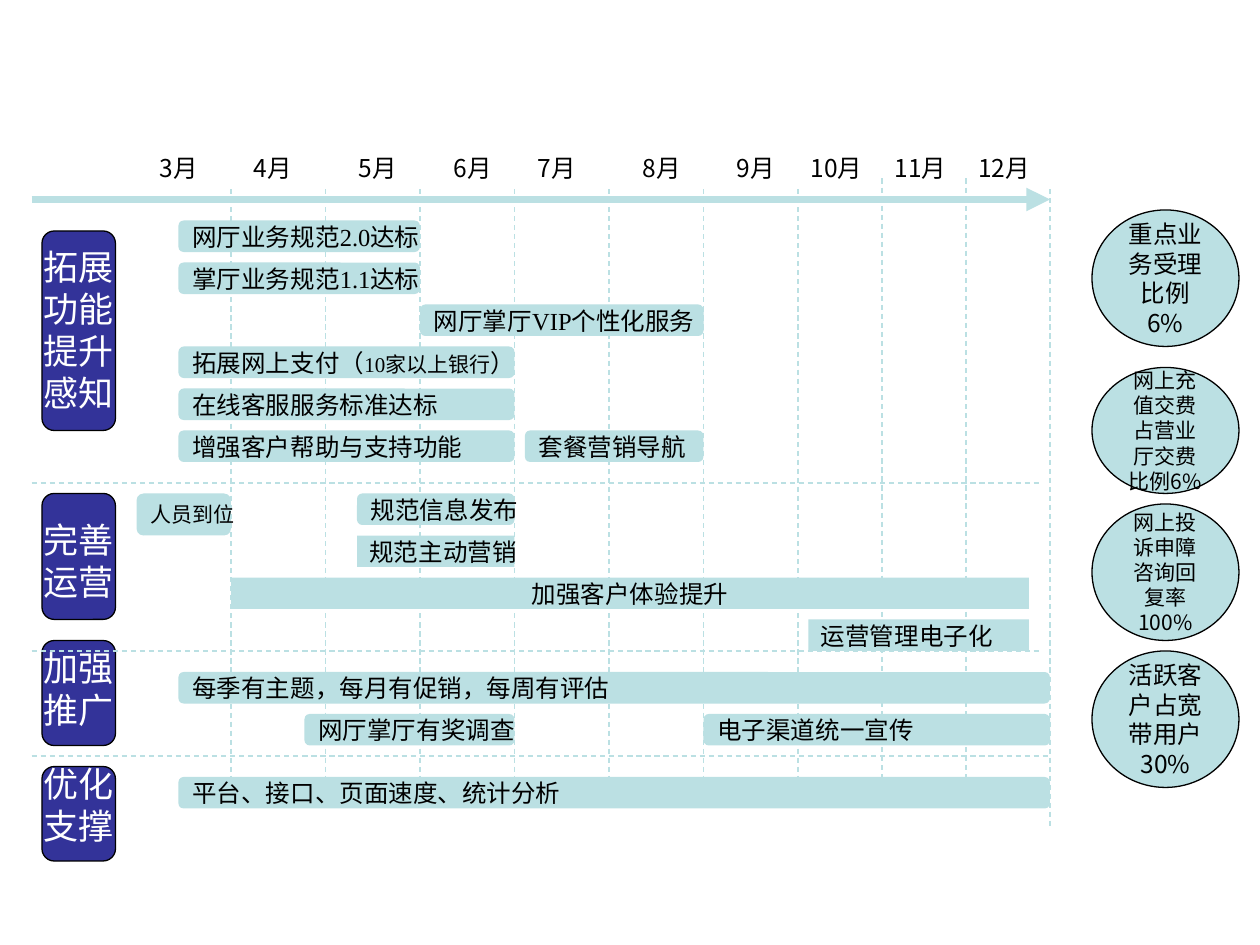
from lxml import etree
from pptx import Presentation
from pptx.dml.color import RGBColor
from pptx.enum.dml import MSO_LINE
from pptx.enum.shapes import MSO_CONNECTOR, MSO_SHAPE
from pptx.enum.text import MSO_ANCHOR, PP_ALIGN
from pptx.oxml.ns import qn
from pptx.util import Pt

PX = 7620
NAVY = RGBColor(0x33, 0x33, 0x99)
AQUA = RGBColor(0xBB, 0xE0, 0xE3)
BLACK = RGBColor(0, 0, 0)
WHITE = RGBColor(0xFF, 0xFF, 0xFF)
SANS = "Noto Sans CJK SC"
SERIF = "Times New Roman"
ROUNDED = MSO_SHAPE.ROUNDED_RECTANGLE
RECTANGLE = MSO_SHAPE.RECTANGLE
OVAL = MSO_SHAPE.OVAL
STRAIGHT = MSO_CONNECTOR.STRAIGHT
DASH = MSO_LINE.DASH
LEFT = PP_ALIGN.LEFT
CENTER = PP_ALIGN.CENTER
TOP = MSO_ANCHOR.TOP
MIDDLE = MSO_ANCHOR.MIDDLE


def write_text(shape, paragraphs, font_name, color, align=LEFT, anchor=TOP, wrap=True):
    frame = shape.text_frame
    frame_format = {"word_wrap": wrap, "vertical_anchor": anchor}
    for name, value in frame_format.items():
        setattr(frame, name, value)
    for index, runs in enumerate(paragraphs):
        paragraph = frame.add_paragraph() if index else frame.paragraphs[0]
        paragraph.alignment = align
        for text, size in runs:
            run = paragraph.add_run()
            run.text = text
            run.font.color.rgb = color
            for name, value in {"size": Pt(size), "name": font_name}.items():
                setattr(run.font, name, value)
            latin = run.font._element.find(qn("a:latin"))
            east_asian = etree.Element(qn("a:ea"), typeface=SANS)
            latin.addnext(east_asian)


def draw_line(x1, y1, x2, y2, width=0.75, dash=DASH, arrow=False):
    connector = slide.shapes.add_connector(STRAIGHT, x1 * PX, y1 * PX, x2 * PX, y2 * PX)
    connector.line.color.rgb = AQUA
    for name, value in {"width": Pt(width), "dash_style": dash}.items():
        setattr(connector.line, name, value)
    properties = connector._element.spPr
    if arrow:
        etree.SubElement(properties.find(qn("a:ln")), qn("a:tailEnd"), type="triangle")
    etree.SubElement(properties, qn("a:effectLst"))


presentation = Presentation()
presentation.slide_width = 1200 * PX
presentation.slide_height = 900 * PX
slide = presentation.slides.add_slide(presentation.slide_layouts[6])

workstreams = [
    ("拓展功能提升感知", 220, 190, 228, 173),
    ("完善运营", 470, 120, 488, 92),
    ("加强推广", 610, 100, 610, 92),
    ("优化支撑", 730, 90, 720, 92),
]
for label, top, height, label_top, label_height in workstreams:
    panel = slide.shapes.add_shape(ROUNDED, 40 * PX, top * PX, 70 * PX, height * PX)
    panel.shadow.inherit = False
    panel.fill.solid()
    panel.fill.fore_color.rgb = NAVY
    panel.line.color.rgb = BLACK
    panel.line.width = Pt(0.75)

draw_line(30, 190, 1000, 190, width=4.5, dash=None, arrow=True)
for x in range(220, 761, 90):
    draw_line(x, 180, x, 760)
for x in (840, 920):
    draw_line(x, 170, x, 750)
draw_line(1000, 180, 1000, 790)

month_lefts = [140, 230, 330, 420, 500, 600, 690, 760, 840, 920]
for month, left in enumerate(month_lefts, start=3):
    box = slide.shapes.add_textbox(left * PX, 140 * PX, 90 * PX, 41 * PX)
    write_text(box, [[(f"{month}月", 14)]], SANS, BLACK)

tasks = [
    (ROUNDED, 170, 210, 230, 30, LEFT, [("网厅业务规范2.0达标", 14)]),
    (ROUNDED, 170, 250, 230, 30, LEFT, [("掌厅业务规范1.1达标", 14)]),
    (ROUNDED, 400, 290, 270, 30, LEFT, [("网厅掌厅VIP个性化服务", 14)]),
    (ROUNDED, 170, 330, 320, 30, LEFT,
     [("拓展网上支付（", 14), ("10家以上银行", 12), ("）", 14)]),
    (ROUNDED, 170, 370, 320, 30, LEFT, [("在线客服服务标准达标", 14)]),
    (ROUNDED, 170, 410, 320, 30, LEFT, [("增强客户帮助与支持功能", 14)]),
    (ROUNDED, 500, 410, 170, 30, LEFT, [("套餐营销导航", 14)]),
    (ROUNDED, 130, 470, 90, 40, LEFT, [("人员到位", 12)]),
    (ROUNDED, 340, 470, 150, 30, LEFT, [("规范信息发布", 14)]),
    (RECTANGLE, 340, 510, 150, 30, LEFT, [("规范主动营销", 14)]),
    (RECTANGLE, 220, 550, 760, 30, CENTER, [("加强客户体验提升", 14)]),
    (RECTANGLE, 770, 590, 210, 30, LEFT, [("运营管理电子化", 14)]),
    (ROUNDED, 170, 640, 830, 30, LEFT, [("每季有主题，每月有促销，每周有评估", 14)]),
    (ROUNDED, 290, 680, 200, 30, LEFT, [("网厅掌厅有奖调查", 14)]),
    (ROUNDED, 670, 680, 330, 30, LEFT, [("电子渠道统一宣传", 14)]),
    (ROUNDED, 170, 740, 830, 30, LEFT, [("平台、接口、页面速度、统计分析", 14)]),
]
for kind, left, top, width, height, align, runs in tasks:
    bar = slide.shapes.add_shape(kind, left * PX, top * PX, width * PX, height * PX)
    bar.shadow.inherit = False
    bar.fill.solid()
    bar.fill.fore_color.rgb = AQUA
    bar.line.fill.background()
    write_text(bar, [runs], SERIF, BLACK, align, MIDDLE, wrap=False)

for y, right in ((460, 990), (620, 990), (720, 1000)):
    draw_line(30, y, right, y)

for label, top, height, label_top, label_height in workstreams:
    box = slide.shapes.add_textbox(30 * PX, label_top * PX, 120 * PX, label_height * PX)
    write_text(box, [[(label, 20)]], SERIF, WHITE)

targets = [
    (200, 130, [[("重点业务受理比例6%", 14)]]),
    (350, 120, [[("网上充值交费占营业厅交费比例6%", 12)]]),
    (480, 130, [[("网上投诉申障咨询回复率", 12)], [("100%", 12)]]),
    (620, 130, [[("活跃客户占宽带用户30%", 14)]]),
]
for top, height, paragraphs in targets:
    target = slide.shapes.add_shape(OVAL, 1040 * PX, top * PX, 140 * PX, height * PX)
    target.shadow.inherit = False
    target.fill.solid()
    target.fill.fore_color.rgb = AQUA
    target.line.color.rgb = BLACK
    target.line.width = Pt(0.75)
    write_text(target, paragraphs, SANS, BLACK, CENTER, MIDDLE)

presentation.save("out.pptx")
